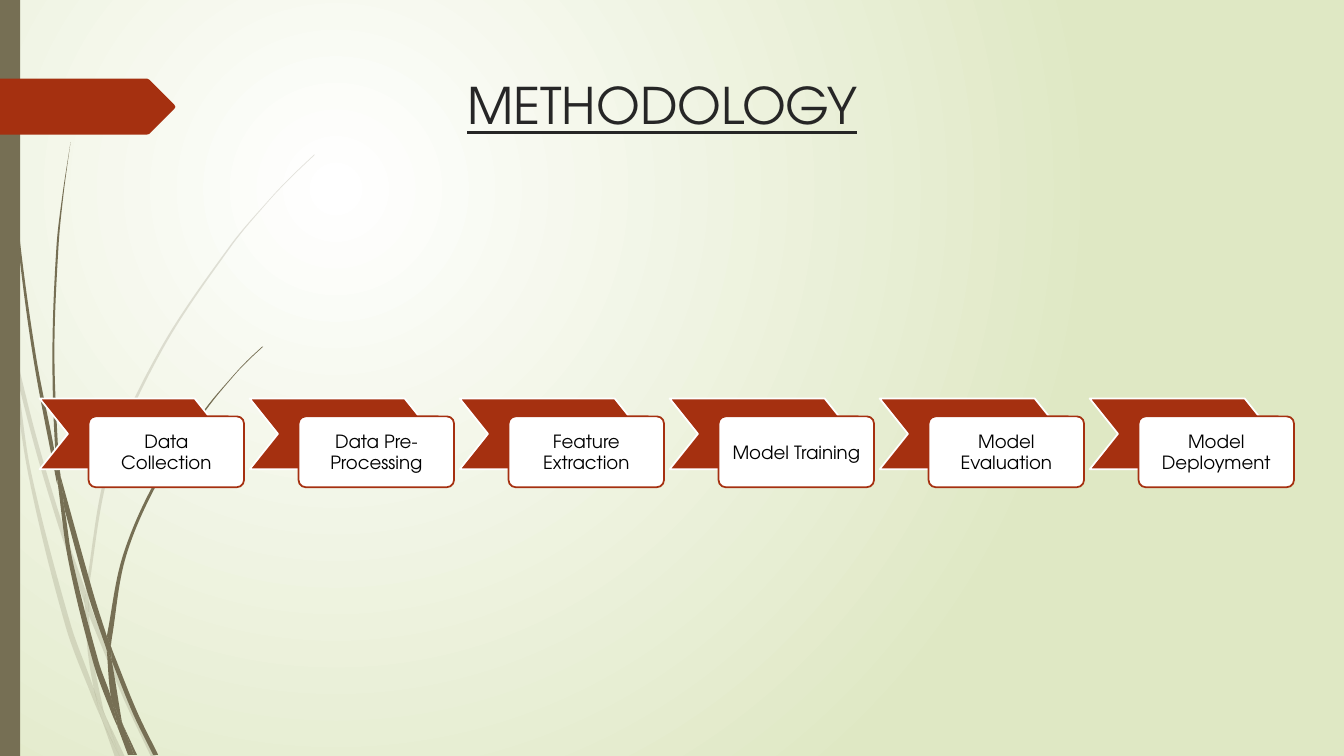
"""Build the METHODOLOGY slide: a six-step chevron process on a grass background."""
from math import dist

from lxml.etree import SubElement
from pptx import Presentation
from pptx.dml.color import RGBColor
from pptx.enum.shapes import MSO_SHAPE as SHAPE
from pptx.enum.text import MSO_ANCHOR as ANCHOR, PP_ALIGN as ALIGN
from pptx.oxml.ns import qn
from pptx.util import Pt

TITLE = "METHODOLOGY"
STEPS = ["Data Collection", "Data Pre-Processing", "Feature Extraction",
         "Model Training", "Model Evaluation", "Model Deployment"]

WHITE = RGBColor(0xFF, 0xFF, 0xFF)
BLACK = RGBColor(0, 0, 0)
INK = RGBColor(0x26, 0x26, 0x26)
RUST = RGBColor(0xA5, 0x30, 0x10)
OLIVE = RGBColor(0x76, 0x6F, 0x54)
PALE_GREEN = RGBColor(0xDF, 0xE8, 0xC4)
TITLE_FONT = {"name": "TeX Gyre Adventor", "size": Pt(36), "underline": True}
STEP_FONT = {"name": "TeX Gyre Adventor", "size": Pt(13)}

GRASS_UNIT = 0.72
FAINT_BLADES = [
    ([(0, 282), (9, 322), (11, 350)], [(0, 299), (10, 344), (11, 350)]),
    ([(14, 345), (36, 433), (62, 520), (85, 586)], [(17, 376), (36, 449), (58, 522), (84, 599)]),
    ([(88, 596), (92, 607), (127, 692), (155, 751)], [(88, 610), (123, 694), (150, 751)]),
    ([(105, 711), (124, 751)], [(105, 711), (119, 751)]),
    ([(11, 350), (17, 376), (31, 469), (70, 619), (93, 683), (99, 707), (101, 714)],
     [(11, 350), (28, 470), (65, 621), (92, 693), (101, 714)]),
    ([(84, 599), (88, 610), (91, 646), (103, 706), (105, 711)],
     [(84, 599), (87, 646), (93, 683), (96, 692), (105, 711)]),
    ([(312, 153), (289, 175), (268, 197), (228, 244), (158, 348), (107, 461), (85, 584)],
     [(312, 154), (290, 175), (268, 198), (229, 245), (160, 349), (110, 462), (88, 584), (88, 596)]),
    ([(101, 714), (114, 751)], [(101, 714), (119, 751)]),
    ([(85, 586), (88, 596), (88, 610)], [(85, 586), (84, 599), (88, 608)]),
    ([(93, 683), (99, 707), (101, 714), (119, 751)], [(93, 683), (96, 692), (105, 711), (119, 751)]),
]
DARK_BLADES = [
    ([(3, 0), (4, 48), (7, 110), (17, 233), (33, 355), (56, 477), (57, 481)],
     [(4, 0), (5, 48), (8, 109), (19, 232), (36, 355), (55, 453), (57, 481)]),
    ([(60, 472), (93, 590), (106, 631)], [(64, 505), (88, 592), (106, 645)]),
    ([(110, 641), (113, 649), (136, 706), (157, 749)], [(111, 656), (132, 708), (152, 749)]),
    ([(57, 477), (64, 505), (72, 556), (98, 657), (110, 691), (116, 717), (117, 722)],
     [(57, 477), (68, 557), (93, 659), (111, 708), (117, 722)]),
    ([(70, 141), (63, 193), (58, 245), (54, 349), (58, 453), (60, 472)],
     [(70, 141), (62, 193), (56, 245), (52, 349), (55, 449), (60, 472)]),
    ([(122, 719), (136, 749)], [(122, 719), (133, 749)]),
    ([(55, 449), (60, 472), (64, 505)], [(55, 453), (57, 477), (64, 505)]),
    ([(260, 344), (245, 358), (231, 373), (204, 405), (156, 474), (122, 551), (106, 631)],
     [(261, 344), (245, 359), (231, 374), (205, 406), (158, 476), (125, 552), (111, 633), (110, 641)]),
    ([(117, 722), (127, 749)], [(117, 722), (131, 749)]),
    ([(106, 645), (110, 691), (116, 706), (122, 719)],
     [(106, 645), (109, 651), (111, 656), (121, 716), (122, 719)]),
    ([(106, 631), (110, 641), (111, 656)], [(106, 631), (106, 645), (109, 651), (111, 656)]),
    ([(110, 691), (116, 706), (122, 719), (133, 749)],
     [(110, 691), (116, 717), (117, 722), (130, 749)]),
]
TAG = [(0, 78), (146, 78), (148, 79), (173, 104), (174, 106), (173, 108),
       (148, 133), (146, 133.5), (0, 133.5)]

STEP_LEFT, STEP_TOP, STEP_PITCH = 28.3, 284.6, 150
CHEVRON_W, BOX_W, STEP_H = 131, 111, 50.6
BOX_DX, BOX_DY = 35, 12.8


def handles(edge):
    """Return the two Bezier handles of each stretch of an edge."""
    padded = [edge[0], *edge, edge[-1]]
    pairs = []
    for a, b, c, d in zip(padded, padded[1:], padded[2:], padded[3:]):
        span = dist(b, c)
        out = span / 3 / (dist(a, b) + span)
        back = span / 3 / (span + dist(c, d))
        pairs.append(([q + (r - p) * out for p, q, r in zip(a, b, c)],
                      [r - (u - q) * back for q, r, u in zip(b, c, d)]))
    return pairs


def paint(sp, color, opacity=100, line=None):
    """Give a shape a flat fill and an optional outline."""
    sp.shadow.inherit = False
    sp.fill.solid()
    sp.fill.fore_color.rgb = color
    if opacity < 100:
        clr = sp.element.spPr.find(qn("a:solidFill"))[0]
        SubElement(clr, qn("a:alpha"), val=str(opacity * 1000))
    if line is None:
        sp.line.fill.background()
    else:
        sp.line.color.rgb = line
        sp.line.width = Pt(1.25)


def add_outline(s, points, color, opacity=100):
    """Draw a closed outline given in grass units."""
    start, *rest = [tuple(Pt(v * GRASS_UNIT) for v in point) for point in points]
    builder = s.shapes.build_freeform(*start)
    builder.add_line_segments(rest, close=True)
    sp = builder.convert_to_shape()
    paint(sp, color, opacity)
    return sp


def add_blade(s, near, far, opacity):
    """Draw a grass blade bounded by two curved edges."""
    far = far[::-1]
    sp = add_outline(s, near + far, OLIVE, opacity)
    curves = handles(near) + [None] + handles(far)
    for segment, pair in zip(sp.element.xpath(".//a:lnTo"), curves):
        if pair is None:
            continue
        segment.tag = qn("a:cubicBezTo")
        for i, (x, y) in enumerate(pair):
            pt = SubElement(segment, qn("a:pt"), x=str(Pt(x * GRASS_UNIT) - sp.left),
                            y=str(Pt(y * GRASS_UNIT) - sp.top))
            segment.insert(i, pt)


def add_box(s, kind, left, top, width, height):
    """Add a preset shape placed in points."""
    return s.shapes.add_shape(kind, Pt(left), Pt(top), Pt(width), Pt(height))


def write(sp, text, font, color):
    """Write one centred paragraph of formatted text."""
    tf = sp.text_frame
    tf.word_wrap = True
    p = tf.paragraphs[0]
    p.alignment = ALIGN.CENTER
    r = p.add_run()
    r.text = text
    for key, value in font.items():
        setattr(r.font, key, value)
    r.font.color.rgb = color
    return tf


def add_background(s):
    """Fill the background with a radial gradient."""
    fill = s.background.fill
    fill.gradient()
    for stop, color in zip(fill.gradient_stops, (WHITE, PALE_GREEN)):
        stop.color.rgb = color
    grad = s.element.xpath(".//p:bg//a:gradFill")[0]
    grad.remove(grad.find(qn("a:lin")))
    radial = SubElement(grad, qn("a:path"), {"path": "circle"})
    SubElement(radial, qn("a:fillToRect"), l="50000", t="50000", r="100000", b="100000")


def add_step(s, i, text):
    """Add one chevron with its label box."""
    left = STEP_LEFT + i * STEP_PITCH
    chevron = add_box(s, SHAPE.CHEVRON, left, STEP_TOP, CHEVRON_W, STEP_H)
    chevron.adjustments[0] = 0.4
    paint(chevron, RUST, line=WHITE)
    box = add_box(s, SHAPE.ROUNDED_RECTANGLE, left + BOX_DX, STEP_TOP + BOX_DY, BOX_W, STEP_H)
    box.adjustments[0] = 0.1
    paint(box, WHITE, line=RUST)
    tf = write(box, text, STEP_FONT, BLACK)
    tf.vertical_anchor = ANCHOR.MIDDLE
    for side in ("left", "right", "top", "bottom"):
        setattr(tf, f"margin_{side}", Pt(5.8))


def main():
    """Assemble and save the slide."""
    prs = Presentation()
    prs.slide_width, prs.slide_height = Pt(960), Pt(540)
    s = prs.slides.add_slide(prs.slide_layouts[6])
    add_background(s)
    for blades, opacity in ((FAINT_BLADES, 20), (DARK_BLADES, 100)):
        for near, far in blades:
            add_blade(s, near, far, opacity)
    paint(add_box(s, SHAPE.RECTANGLE, 0, 0, 14.4, 540), OLIVE)
    add_outline(s, TAG, RUST)
    title = s.shapes.add_textbox(Pt(40.3), Pt(49.5), Pt(865.4), Pt(100.8))
    write(title, TITLE, TITLE_FONT, INK)
    for i, text in enumerate(STEPS):
        add_step(s, i, text)
    prs.save("out.pptx")


if __name__ == "__main__":
    main()
